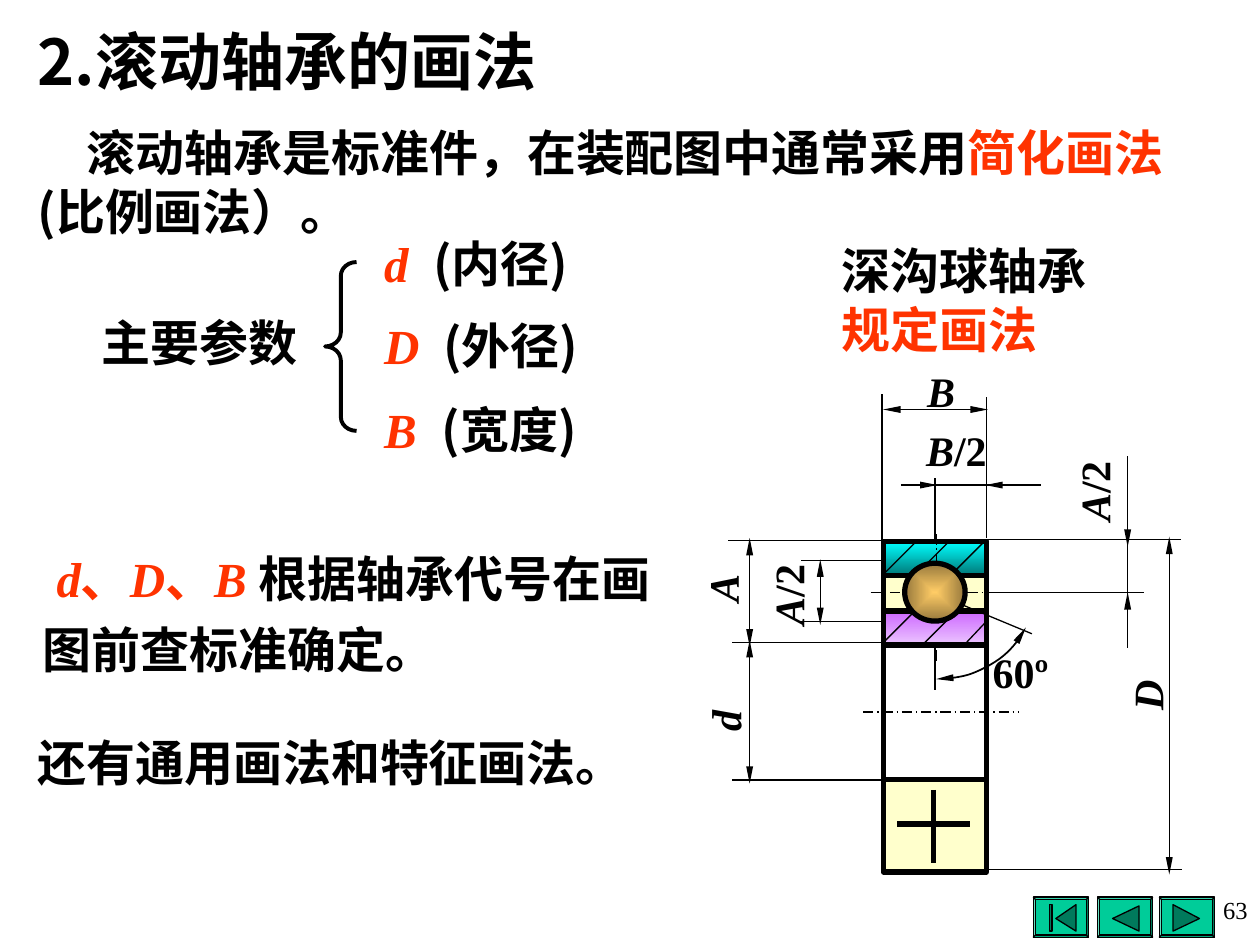
from dataclasses import dataclass

from lxml.etree import SubElement
from pptx import Presentation
from pptx.dml.color import RGBColor
from pptx.enum.dml import MSO_LINE
from pptx.enum.shapes import MSO_CONNECTOR, MSO_SHAPE
from pptx.enum.text import MSO_ANCHOR, PP_ALIGN
from pptx.oxml.ns import qn
from pptx.util import Inches, Pt


@dataclass(frozen=True)
class Theme:
    latin: str = "Times New Roman"
    chinese: str = "Noto Sans CJK SC"
    ink: str = "000000"
    accent: str = "FF3300"
    paper: str = "FFFFFF"
    cream: str = "FFFFCC"
    button: str = "00CC99"
    glyph: str = "007A5C"
    outer: tuple = ("00FFFF", "007676")
    inner: tuple = ("CC66FF", "ECC6FF")
    ball: tuple = ("FFCC66", "96783C")
    title: int = 36
    body: int = 28
    label: int = 24
    number: int = 14
    thin: float = 0.75
    thick: float = 3


@dataclass(frozen=True)
class Box:
    left: float
    top: float
    width: float
    height: float

    def area(self, x, y, width, height):
        return Box(self.left + x, self.top + y, width, height)

    def lengths(self):
        return [Inches(v) for v in (self.left, self.top, self.width, self.height)]


THEME = Theme()


def rgb(code):
    return RGBColor.from_string(code)


def write(frame, spans, size, bold=True, align=PP_ALIGN.LEFT, indent=0, tab=0):
    frame.vertical_anchor = MSO_ANCHOR.MIDDLE
    para = frame.paragraphs[0]
    para.alignment = align
    props = para._p.get_or_add_pPr()
    if indent:
        props.set("indent", str(Inches(indent)))
    if tab:
        stops = SubElement(props, qn("a:tabLst"))
        SubElement(stops, qn("a:tab"), pos=str(Inches(tab)), algn="l")
    para.font.size = Pt(size)
    para.font.bold = bold
    for text, font, color, italic in spans:
        span = para.add_run()
        span.text = text
        span.font.name = font
        span.font.italic = italic
        span.font.color.rgb = rgb(color)
        SubElement(span.font._element, qn("a:ea"), typeface=THEME.chinese)
    return para


def add_text(page, box, spans, size, wrap=True, **options):
    shape = page.shapes.add_textbox(*box.lengths())
    shape.text_frame.word_wrap = wrap
    write(shape.text_frame, spans, size, **options)
    return shape


def chinese(text, color=THEME.ink):
    return text, THEME.chinese, color, False


def latin(text, color=THEME.ink, italic=False):
    return text, THEME.latin, color, italic


def add_ends(shape, head, tail):
    outline = shape.line._get_or_add_ln()
    for tag, wanted in (("a:headEnd", head), ("a:tailEnd", tail)):
        if wanted:
            SubElement(outline, qn(tag), type="triangle", w="sm", len="lg")


def add_line(page, box, x1, y1, x2, y2, width=THEME.thin, dash=None, head=False, tail=False):
    ends = [Inches(v) for v in (box.left + x1, box.top + y1, box.left + x2, box.top + y2)]
    line = page.shapes.add_connector(MSO_CONNECTOR.STRAIGHT, *ends)
    line.line.color.rgb = rgb(THEME.ink)
    line.line.width = Pt(width)
    if dash:
        line.line.dash_style = dash
    add_ends(line, head, tail)
    SubElement(line._element.spPr, qn("a:effectLst"))
    return line


def style(shape, fill, width):
    shape.shadow.inherit = False
    shape.line.color.rgb = rgb(THEME.ink)
    shape.line.width = Pt(width)
    if fill is None:
        shape.fill.background()
    elif isinstance(fill, str):
        shape.fill.solid()
        shape.fill.fore_color.rgb = rgb(fill)
    else:
        shape.fill.gradient()
        shape.fill.gradient_angle = 270
        for stop, color in zip(shape.fill.gradient_stops, fill):
            stop.color.rgb = rgb(color)
    return shape


def add_shape(page, kind, box, fill, width=THEME.thick):
    return style(page.shapes.add_shape(kind, *box.lengths()), fill, width)


def add_title(page, box):
    title = page.shapes.title
    title.left, title.top, title.width, title.height = box.lengths()
    write(title.text_frame, [chinese("2.滚动轴承的画法")], THEME.title)


def add_statements(page, box):
    red = THEME.accent
    add_text(page, box.area(0, 0, 9.49, 1.04),
             [chinese("滚动轴承是标准件，在装配图中通常采用"), chinese("简化画法", red),
              chinese("(比例画法）。")], THEME.body, indent=0.39)
    add_text(page, box.area(6.38, 0.94, 2.5, 1.04),
             [latin("深沟球轴承"), latin("规定画法", red)], THEME.body)
    rule = add_text(page, box.area(0.04, 3.25, 5.31, 1.3),
                    [latin("d", red, True), latin("、", red), latin("D", red, True),
                     latin("、", red), latin("B ", red, True),
                     latin("根据轴承代号在画图前查标准确定。")], THEME.body, indent=0.11)
    rule.text_frame.paragraphs[0].line_spacing = 1.2
    add_text(page, box.area(0, 4.84, 6.33, 0.57), [latin("还有通用画法和特征画法。")], THEME.body)


def add_parameters(page, box):
    add_text(page, box.area(0, 0.66, 2.01, 0.57), [chinese("主要参数")], THEME.body)
    rows = (("d", "(内径)", 0.03, 0.39), ("D", "(外径)", 0.68, 0.47), ("B", "(宽度)", 1.35, 0.46))
    for symbol, meaning, y, tab in rows:
        add_text(page, box.area(2.24, y, 2.1, 0.57),
                 [latin(symbol + "\t", THEME.accent, True), chinese(meaning)],
                 THEME.body, tab=tab)
    brace = add_shape(page, MSO_SHAPE.LEFT_BRACE, box.area(1.87, 0.31, 0.25, 1.34), None, 2.25)
    brace.adjustments[0] = 0.44


def add_ring(page, box, fill, hatches):
    ring = add_shape(page, MSO_SHAPE.RECTANGLE, box, fill)
    for hatch in hatches:
        add_line(page, box, *hatch)
    return ring


def add_bearing(page, box):
    middle = box.width / 2
    add_shape(page, MSO_SHAPE.RECTANGLE, box, THEME.cream)
    add_shape(page, MSO_SHAPE.RECTANGLE, box.area(0, 0.79, box.width, 1.1), THEME.paper)
    outer = add_ring(page, box.area(0, 0, box.width, 0.27), THEME.outer,
                     ((0, 0.26, 0.26, 0), (0.35, 0.17, 0.52, 0), (0.57, 0.23, 0.79, 0.01)))
    for axis in ((-0.16, 1.35, 1.07, 1.35), (-0.1, 0.4, 0.98, 0.4), (0.42, -0.06, 0.42, 0.95)):
        add_line(page, box, *axis, dash=MSO_LINE.LONG_DASH_DOT)
    inner = add_ring(page, box.area(0, 0.55, box.width, 0.27), THEME.inner,
                     ((0.25, 0, 0, 0.25), (0.58, 0, 0.33, 0.25), (0.82, 0.08, 0.66, 0.25)))
    add_line(page, box, middle, 0, middle, -0.51).begin_connect(outer, 0)
    add_line(page, box, middle, 0.82, middle, 1.18, width=1).begin_connect(inner, 2)
    add_line(page, box, middle, 0.41, 1.18, 0.73)
    add_line(page, box, 0.11, 2.24, 0.69, 2.24, width=THEME.thick)
    add_line(page, box, middle - 0.01, 1.97, middle - 0.01, 2.55, width=THEME.thick)
    arc = add_shape(page, MSO_SHAPE.ARC, box.area(middle - 0.77, -0.29, 1.56, 1.38), None, 1)
    arc.adjustments[0], arc.adjustments[1] = 21.5 * 0.6, 90 * 0.6
    add_ends(arc, True, True)
    ball = add_shape(page, MSO_SHAPE.OVAL, box.area(0.17, 0.17, 0.48, 0.46), THEME.ball)
    gradient = ball._element.spPr.find(qn("a:gradFill"))
    gradient.remove(gradient.find(qn("a:lin")))
    shade = SubElement(gradient, qn("a:path"))
    shade.set("path", "rect")
    SubElement(shade, qn("a:fillToRect"), l="50000", t="50000", r="50000", b="50000")


def add_dimensions(page, box):
    extensions = (
        (0, 0.8, -1.2, 0.8), (0, 1.89, -1.2, 1.89), (0.81, -0.02, 2.36, -0.02),
        (0.81, 2.6, 2.37, 2.6), (0.41, 0.63, -0.68, 0.63), (0.38, 0.15, -0.65, 0.15),
        (0.03, -0.01, -1.23, -0.01), (0.83, 0.4, 2.07, 0.4), (1.94, -0.68, 1.94, 0.84),
        (-0.01, 0, -0.01, -1.17), (0.82, -0.03, 0.82, -1.15), (0.14, -0.45, 1.25, -0.45))
    for ends in extensions:
        add_line(page, box, *ends)
    for ends in ((-1.06, 0.78, -1.06, 1.92), (2.27, -0.04, 2.27, 2.64), (-0.5, 0.14, -0.5, 0.66),
                 (-1.06, -0.03, -1.06, 0.83), (0, -1.05, 0.83, -1.05)):
        add_line(page, box, *ends, head=True, tail=True)
    for ends in ((1.94, -0.11, 1.94, 0.04), (1.94, 0.55, 1.94, 0.4),
                 (0.25, -0.45, 0.43, -0.45), (1.03, -0.45, 0.81, -0.45)):
        add_line(page, box, *ends, tail=True)
    labels = (("d", "", -1.26, 1.42, 270), ("D", "", 2.09, 1.22, 270), ("A", "", -1.28, 0.37, 270),
              ("A", "/2", -0.76, 0.42, 270), ("B", "", 0.46, -1.2, 0), ("B", "/2", 0.58, -0.73, 0),
              ("A", "/2", 1.67, -0.4, 270), ("", "60º", 1.09, 1.03, 0))
    for symbol, upright, x, y, turn in labels:
        spans = [latin(text, italic=slanted)
                 for text, slanted in ((symbol, True), (upright, False)) if text]
        label = add_text(page, box.area(x - 0.34, y - 0.25, 0.68, 0.5), spans, THEME.label,
                         wrap=False, align=PP_ALIGN.CENTER)
        label.rotation = turn


def add_navigation(page, box):
    bar = ((0.13, 0.06), (0.15, 0.06), (0.15, 0.27), (0.13, 0.27))
    buttons = ((0, (((0.18, 0.17), (0.34, 0.06), (0.34, 0.27)), bar)),
               (0.51, (((0.12, 0.17), (0.33, 0.07), (0.33, 0.27)),)),
               (1, (((0.11, 0.06), (0.32, 0.17), (0.11, 0.27)),)))
    for x, outlines in buttons:
        place = box.area(x, 0, 0.44, box.height)
        button = add_shape(page, MSO_SHAPE.BEVEL, place, THEME.button, THEME.thin)
        button.adjustments[0] = 0.06
        for outline in outlines:
            points = [(Inches(place.left + px), Inches(place.top + py)) for px, py in outline]
            builder = page.shapes.build_freeform(*points[0])
            builder.add_line_segments(points[1:], close=True)
            style(builder.convert_to_shape(), THEME.glyph, THEME.thin)
    add_text(page, box.area(1.2, -0.07, 0.6, 0.34), [latin("63")], THEME.number,
             bold=False, align=PP_ALIGN.RIGHT)


def main():
    deck = Presentation()
    deck.slide_width, deck.slide_height = Inches(10), Inches(7.5)
    page = deck.slides.add_slide(deck.slide_layouts[5])
    bearing = Box(7.01, 4.3, 0.82, 2.62)
    add_navigation(page, Box(8.2, 7.12, 1.8, 0.32))
    add_dimensions(page, bearing)
    add_bearing(page, bearing)
    add_statements(page, Box(0.2, 0.92, 9.49, 5.41))
    add_parameters(page, Box(0.71, 1.77, 4.4, 1.92))
    add_title(page, Box(0.2, 0.13, 8.93, 0.7))
    deck.save("out.pptx")


if __name__ == "__main__":
    main()
